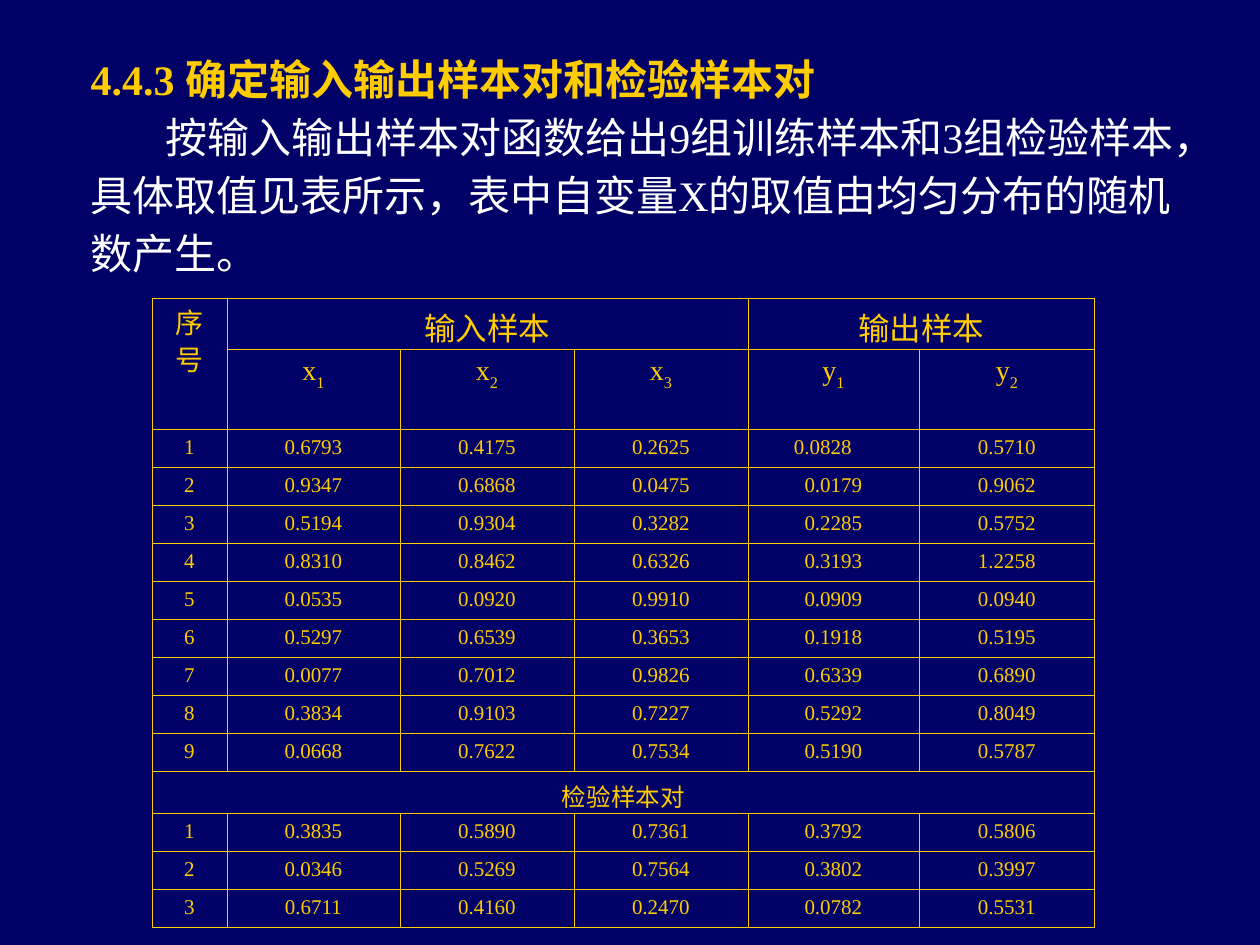
from dataclasses import dataclass
from typing import Optional

from lxml.etree import SubElement
from pptx import Presentation
from pptx.dml.color import RGBColor
from pptx.enum.text import MSO_ANCHOR, MSO_AUTO_SIZE, PP_ALIGN
from pptx.oxml.ns import qn
from pptx.util import Emu, Pt

PIXELS_PER_INCH = 126
FONT = "Times New Roman"
GOLD = "FFCC00"
WHITE = "FFFFFF"
NAVY = "000066"
MARGIN = 13
TRAILING_GAP = 21

COLUMN_WIDTHS = [75, 173, 174, 174, 171, 176]
DATA_ROW_HEIGHT = 38
ROW_HEIGHTS = [51, 80] + [DATA_ROW_HEIGHT] * 9 + [42] + [DATA_ROW_HEIGHT] * 3

TRAINING_SAMPLES = [
    ["0.6793", "0.4175", "0.2625", "0.0828", "0.5710"],
    ["0.9347", "0.6868", "0.0475", "0.0179", "0.9062"],
    ["0.5194", "0.9304", "0.3282", "0.2285", "0.5752"],
    ["0.8310", "0.8462", "0.6326", "0.3193", "1.2258"],
    ["0.0535", "0.0920", "0.9910", "0.0909", "0.0940"],
    ["0.5297", "0.6539", "0.3653", "0.1918", "0.5195"],
    ["0.0077", "0.7012", "0.9826", "0.6339", "0.6890"],
    ["0.3834", "0.9103", "0.7227", "0.5292", "0.8049"],
    ["0.0668", "0.7622", "0.7534", "0.5190", "0.5787"],
]
TEST_SAMPLES = [
    ["0.3835", "0.5890", "0.7361", "0.3792", "0.5806"],
    ["0.0346", "0.5269", "0.7564", "0.3802", "0.3997"],
    ["0.6711", "0.4160", "0.2470", "0.0782", "0.5531"],
]


@dataclass
class Heading:
    row: int
    column: int
    text: str
    size: int
    last_row: int
    last_column: int
    line_spacing: Optional[float] = None


@dataclass
class Variable:
    letter: str
    index: str


HEADINGS = [
    Heading(0, 0, "序\n号", 16, 1, 0, line_spacing=0.92),
    Heading(0, 1, "输入样本", 18, 0, 3),
    Heading(0, 4, "输出样本", 18, 0, 5),
    Heading(11, 0, "检验样本对", 14, 11, 5),
]
VARIABLES = [
    Variable("x", "1"),
    Variable("x", "2"),
    Variable("x", "3"),
    Variable("y", "1"),
    Variable("y", "2"),
]


def px(length: int) -> Emu:
    return Emu(round(length * 914400 / PIXELS_PER_INCH))


def color(value: str) -> RGBColor:
    return RGBColor.from_string(value)


def add_text(paragraph, text: str, *, size: int, fill: str = GOLD, bold: bool = False,
             baseline: Optional[int] = None, alignment=PP_ALIGN.CENTER,
             line_spacing: Optional[float] = None) -> None:
    paragraph.alignment = alignment
    if line_spacing is not None:
        paragraph.line_spacing = line_spacing
    run = paragraph.add_run()
    run.text = text
    run.font.name = FONT
    run.font.size = Pt(size)
    run.font.bold = bold
    run.font.color.rgb = color(fill)
    if baseline is not None:
        run._r.get_or_add_rPr().set("baseline", str(baseline * 1000))


def prepare_frame(shape) -> None:
    frame = shape.text_frame
    frame.word_wrap = True
    frame.auto_size = MSO_AUTO_SIZE.NONE
    frame.vertical_anchor = MSO_ANCHOR.TOP


def add_title(slide) -> None:
    title = slide.shapes.title
    title.left, title.top, title.width, title.height = px(78), px(32), px(1111), px(78)
    prepare_frame(title)
    add_text(title.text_frame.paragraphs[0], "4.4.3 确定输入输出样本对和检验样本对",
             size=24, bold=True, alignment=PP_ALIGN.LEFT, line_spacing=1.3)


def add_description(slide) -> None:
    description = slide.shapes.add_textbox(px(78), px(98), px(1111), px(186))
    prepare_frame(description)
    paragraph = description.text_frame.paragraphs[0]
    paragraph._p.get_or_add_pPr().set("indent", str(px(75)))
    add_text(paragraph,
             "按输入输出样本对函数给出9组训练样本和3组检验样本，具体取值见表所示，"
             "表中自变量X的取值由均匀分布的随机数产生。",
             size=24, fill=WHITE, alignment=PP_ALIGN.LEFT, line_spacing=1.15)


def format_cell(cell) -> None:
    cell.margin_left = cell.margin_right = px(MARGIN)
    cell.margin_top = px(6)
    cell.margin_bottom = 0
    properties = cell._tc.get_or_add_tcPr()
    for side in ("a:lnL", "a:lnR", "a:lnT", "a:lnB"):
        line = SubElement(properties, qn(side), w=str(Pt(0.45)))
        solid_fill = SubElement(line, qn("a:solidFill"))
        SubElement(solid_fill, qn("a:srgbClr"), val=GOLD)
    cell.fill.background()


def add_headings(table) -> None:
    for heading in HEADINGS:
        cell = table.cell(heading.row, heading.column)
        cell.merge(table.cell(heading.last_row, heading.last_column))
        for position, text in enumerate(heading.text.split("\n")):
            frame = cell.text_frame
            paragraph = frame.add_paragraph() if position else frame.paragraphs[0]
            add_text(paragraph, text, size=heading.size, line_spacing=heading.line_spacing)
    for column, variable in enumerate(VARIABLES, start=1):
        paragraph = table.cell(1, column).text_frame.paragraphs[0]
        add_text(paragraph, variable.letter, size=16)
        add_text(paragraph, variable.index, size=16, baseline=-30)


def add_samples(table, first_row: int, samples: list[list[str]]) -> None:
    for number, values in enumerate(samples, start=1):
        for column, text in enumerate([str(number), *values]):
            cell = table.cell(first_row + number - 1, column)
            add_text(cell.text_frame.paragraphs[0], text, size=12)


def add_sample_table(slide) -> None:
    table = slide.shapes.add_table(
        len(ROW_HEIGHTS), len(COLUMN_WIDTHS), px(152), px(298),
        px(sum(COLUMN_WIDTHS)), px(sum(ROW_HEIGHTS))).table
    table.first_row = False
    table.horz_banding = False
    for column, width in zip(table.columns, COLUMN_WIDTHS):
        column.width = px(width)
    for row, height in zip(table.rows, ROW_HEIGHTS):
        row.height = px(height)
    for cell in table.iter_cells():
        format_cell(cell)
    add_headings(table)
    add_samples(table, 2, TRAINING_SAMPLES)
    add_samples(table, 12, TEST_SAMPLES)
    table.cell(2, 4).margin_right = px(MARGIN + TRAILING_GAP)


def main() -> None:
    presentation = Presentation()
    presentation.slide_width, presentation.slide_height = px(1260), px(945)
    slide = presentation.slides.add_slide(presentation.slide_layouts[5])
    slide.background.fill.solid()
    slide.background.fill.fore_color.rgb = color(NAVY)
    add_title(slide)
    add_description(slide)
    add_sample_table(slide)
    presentation.save("out.pptx")


if __name__ == "__main__":
    main()
